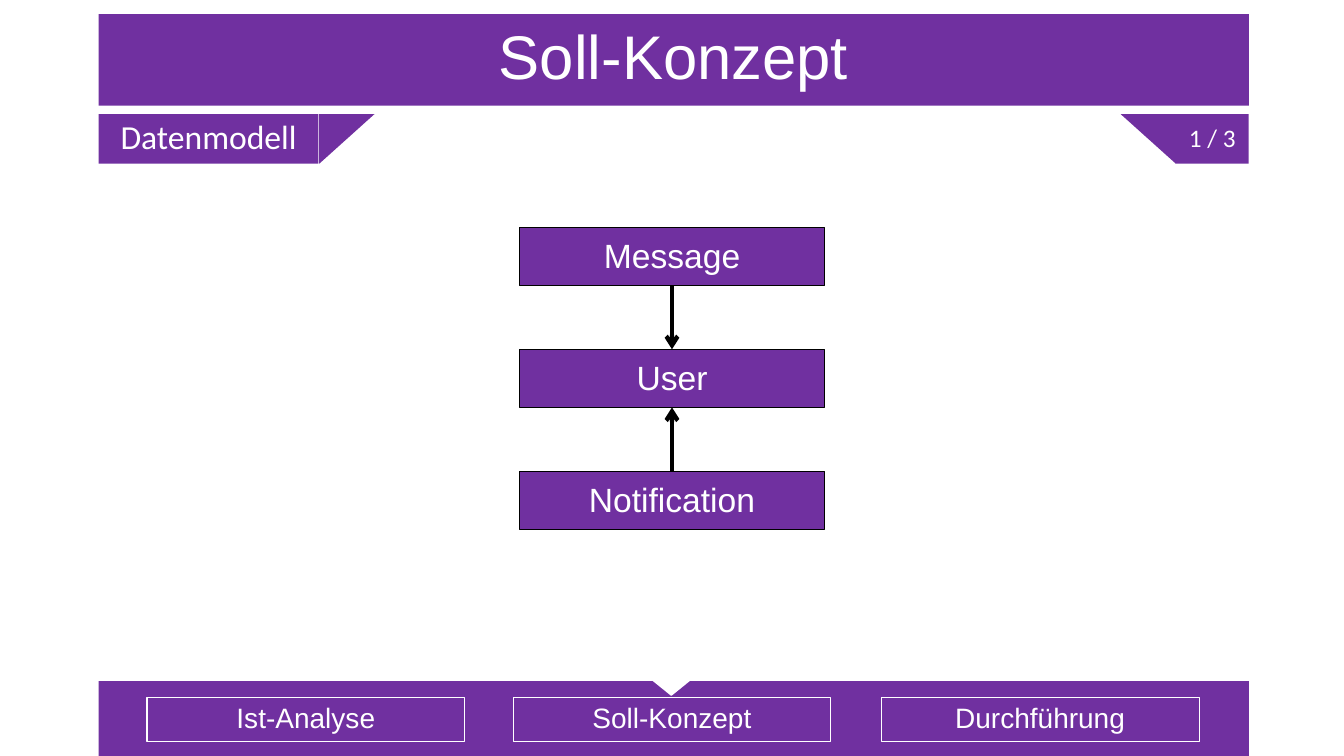
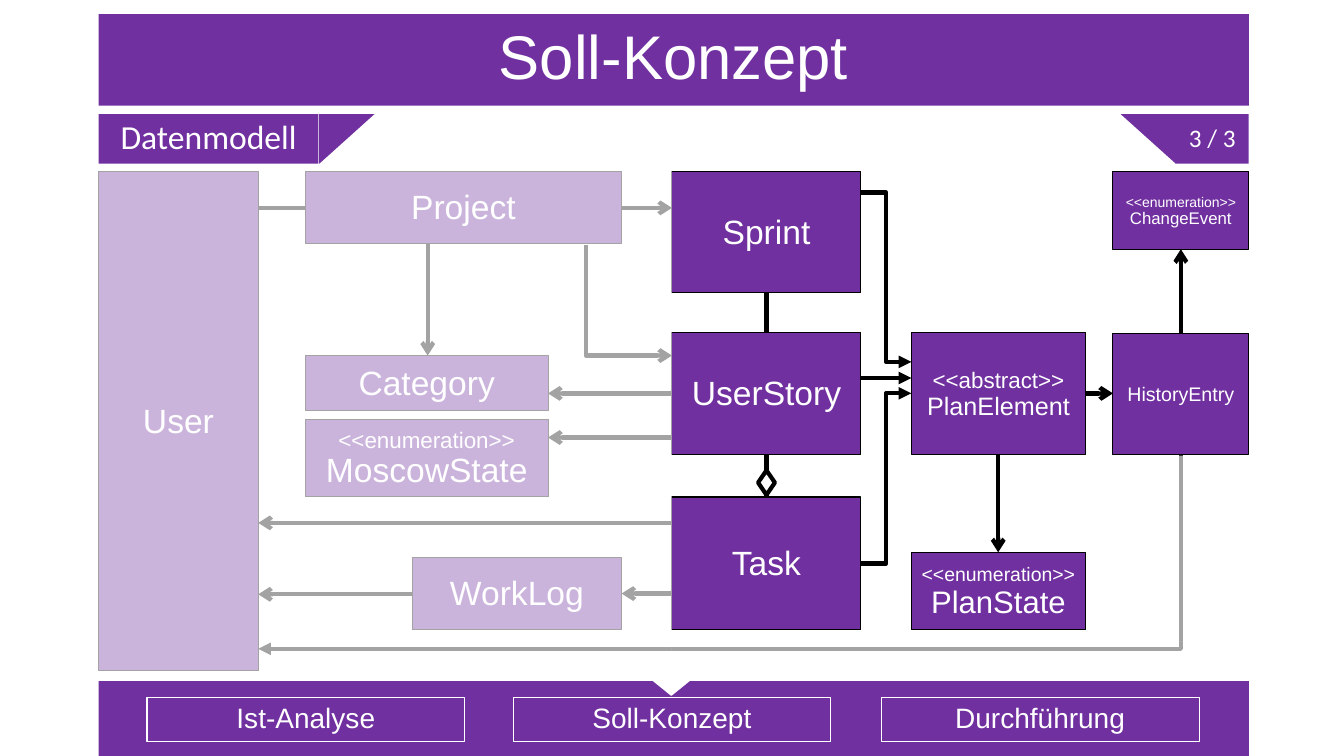
import lxml.etree
import pptx
import pptx.dml.color
import pptx.enum.shapes
import pptx.enum.text
import pptx.oxml.ns
import pptx.util

Pt = pptx.util.Pt
Kind = pptx.enum.shapes.MSO_SHAPE
Link = pptx.enum.shapes.MSO_CONNECTOR
PURPLE = pptx.dml.color.RGBColor(0x70, 0x30, 0xA0)
WHITE = pptx.dml.color.RGBColor(0xFF, 0xFF, 0xFF)
BLACK = pptx.dml.color.RGBColor(0x00, 0x00, 0x00)
LEFT, WIDE = 70.5, 821.5
TAB_TOP, TAB_HIGH = 81.5, 35.5


def child(parent, tag, **attrs):
    return lxml.etree.SubElement(parent, pptx.oxml.ns.qn(tag), **attrs)


class Deck:
    """Holds the shared style and draws on the current slide."""

    def __init__(self):
        self.show = pptx.Presentation()
        self.show.slide_width = Pt(960)
        self.show.slide_height = Pt(540)
        self.layout = self.show.slide_layouts.get_by_name("Comparison")
        self.slide = None

    def page(self, title, topic, steps, count):
        first = self.slide is None
        self.slide = self.show.slides.add_slide(self.layout)
        if first:
            self.frame()
        self.hold(0, title, 44, (LEFT, 10, WIDE, 65.5), fill=PURPLE)
        for index, (step, left) in enumerate(zip(steps, (105, 366.5, 629.5)), 1):
            self.hold(index, step, 20, (left, 498, 227, 32), line=WHITE)
        self.hold(4, topic, 24, (LEFT, TAB_TOP, 157, TAB_HIGH), font="Calibri")
        tab = self.shape(Kind.RECTANGLE, (840, TAB_TOP, 52, TAB_HIGH), PURPLE)
        self.text(tab, count, [18], "Calibri")

    def frame(self):
        parts = [
            self.shape(Kind.RECTANGLE, (LEFT, 486.5, WIDE, 53.5), PURPLE),
            self.shape(Kind.ISOSCELES_TRIANGLE, (466.5, 486, 26, 10.5), WHITE, WHITE, 1, 180),
            self.shape(Kind.RECTANGLE, (LEFT, TAB_TOP, 157, TAB_HIGH), PURPLE),
            self.shape(Kind.RIGHT_TRIANGLE, (230, 79.5, TAB_HIGH, 39.5), PURPLE, turn=90),
            self.shape(Kind.RIGHT_TRIANGLE, (800.5, TAB_TOP, 39.5, TAB_HIGH), PURPLE, turn=180),
        ]
        for part in parts:
            self.layout.shapes.element.append(part.element)

    def paint(self, shape, fill, line, width=0.75):
        if fill is None:
            shape.fill.background()
        else:
            shape.fill.solid()
            shape.fill.fore_color.rgb = fill
        if line is None:
            shape.line.fill.background()
        else:
            shape.line.color.rgb = line
            shape.line.width = Pt(width)

    def shape(self, kind, place, fill, line=None, width=0.75, turn=0):
        shape = self.slide.shapes.add_shape(kind, *map(Pt, place))
        shape.shadow.inherit = False
        shape.rotation = turn
        self.paint(shape, fill, line, width)
        return shape

    def text(self, shape, words, sizes, font="Arial"):
        frame = shape.text_frame
        frame.text = words
        frame.word_wrap = True
        frame.auto_size = pptx.enum.text.MSO_AUTO_SIZE.NONE
        frame.vertical_anchor = pptx.enum.text.MSO_ANCHOR.MIDDLE
        for para, size in zip(frame.paragraphs, sizes):
            para.alignment = pptx.enum.text.PP_ALIGN.CENTER
            para.line_spacing = 0.9
            para.space_before = Pt(0)
            props = para._p.get_or_add_pPr()
            props.set("marL", "0")
            props.set("indent", "0")
            child(props, "a:buNone")
            for run in para.runs:
                run.font.name = font
                run.font.size = Pt(size)
                run.font.bold = False
                run.font.color.rgb = WHITE

    def hold(self, index, words, size, place, fill=None, line=None, font="Arial"):
        holder = self.slide.placeholders[index]
        holder.left, holder.top, holder.width, holder.height = map(Pt, place)
        self.paint(holder, fill, line)
        self.text(holder, words, [size], font)

    def box(self, words, place, *sizes):
        box = self.shape(Kind.RECTANGLE, place, PURPLE, BLACK)
        box.text_frame.margin_top = Pt(5.5)
        self.text(box, words, sizes or [24])

    def link(self, start, end, tail=None, head=None, bend=None):
        kind = Link.STRAIGHT if bend is None else Link.ELBOW
        link = self.slide.shapes.add_connector(kind, *map(Pt, start + end))
        link.line.color.rgb = BLACK
        link.line.width = Pt(3)
        line = link.element.xpath(".//a:ln")[0]
        for tag, tip in (("a:headEnd", head), ("a:tailEnd", tail)):
            if tip:
                child(line, tag, type=tip)
        child(link.element.spPr, "a:effectLst")
        if bend is not None:
            guides = link.element.xpath(".//a:avLst")[0]
            child(guides, "a:gd", name="adj1", fmla=f"val {round(bend * 100000)}")

    def veil(self, *place):
        veil = self.shape(Kind.RECTANGLE, place, WHITE)
        child(veil.element.xpath("./p:spPr/a:solidFill/a:srgbClr")[0], "a:alpha", val="64000")


def basic(deck):
    left, top, wide, high, step = 371, 162.5, 218, 41.5, 87
    for row, name in enumerate(("Message", "User", "Notification")):
        deck.box(name, (left, top + row * step, wide, high))
    mid = left + wide / 2
    deck.link((mid, top + high), (mid, top + step), "arrow")
    deck.link((mid, top + 2 * step), (mid, top + step + high), "arrow")


def model(deck):
    top, mid, core, wide = 122.5, 237.5, 480, 135
    edge, plan, past = core + wide, 651, 795
    deck.box("User", (LEFT, top, 114, 356.5))
    deck.box("Project", (218, top, 226, 51.5))
    deck.box("Category", (218, 254, 173.5, 39))
    deck.box("<<enumeration>>\nMoscowState", (218, 299.5, 173.5, 55.5), 16, 24)
    deck.box("Sprint", (core, top, wide, 86.5))
    deck.box("UserStory", (core, mid, wide, 87))
    deck.box("Task", (core, 355, wide, 95))
    deck.box("WorkLog", (294.5, 398, 149.5, 52))
    deck.box("<<abstract>>\nPlanElement", (plan, mid, 124.5, 87), 16, 18)
    deck.box("<<enumeration>>\nPlanState", (plan, 394.5, 124.5, 55.5), 13.9, 22.2)
    deck.box("<<enumeration>>\nChangeEvent", (past, top, 97, 55.5), 10, 12)
    deck.box("HistoryEntry", (past, 238, 97, 86.5), 14)
    for start, end in (
        ((218, 148.5), (184.5, 148.5)),
        ((547.5, 209), (547.5, mid)),
        ((547.5, 324.5), (547.5, 355)),
    ):
        deck.link(start, end)
    deck.shape(Kind.DIAMOND, (541.5, 336, 12, 17.5), WHITE, BLACK, 3)
    for start, end in (
        ((294.5, 424.5), (184.5, 424.5)),
        ((444, 148.5), (core, 148.5)),
        ((core, 281), (391.5, 281)),
        ((305.5, 174), (305.5, 254)),
        ((core, 312.5), (391.5, 312.5)),
        ((core, 424), (444, 424)),
        ((core, 373.5), (184.5, 373.5)),
        ((713, 324.5), (713, 394.5)),
        ((775.5, 281), (past, 281)),
        ((843.5, 238), (843.5, 178)),
    ):
        deck.link(start, end, "arrow")
    deck.link((edge, 270), (plan, 270), "triangle")
    deck.link((edge, 402.5), (plan, 281), "triangle", bend=0.5)
    deck.link((edge, 137.5), (plan, 258.5), "triangle", bend=0.5)
    deck.link((core, 254), (418.5, 175), head="arrow", bend=1)
    deck.link((184.5, 463.5), (843.5, 324.5), head="triangle", bend=1)
    deck.veil(60, 117.5, 420, 363)
    deck.veil(core, 458, 413, 15)
    deck.veil(837.5, 325.5, 72.5, 132.5)


def main():
    deck = Deck()
    steps = ("Ist-Analyse", "Soll-Konzept", "Durchführung")
    for count, draw in (("1 / 3", basic), ("3 / 3", model)):
        deck.page("Soll-Konzept", "Datenmodell", steps, count)
        draw(deck)
    deck.show.save("out.pptx")


if __name__ == "__main__":
    main()
